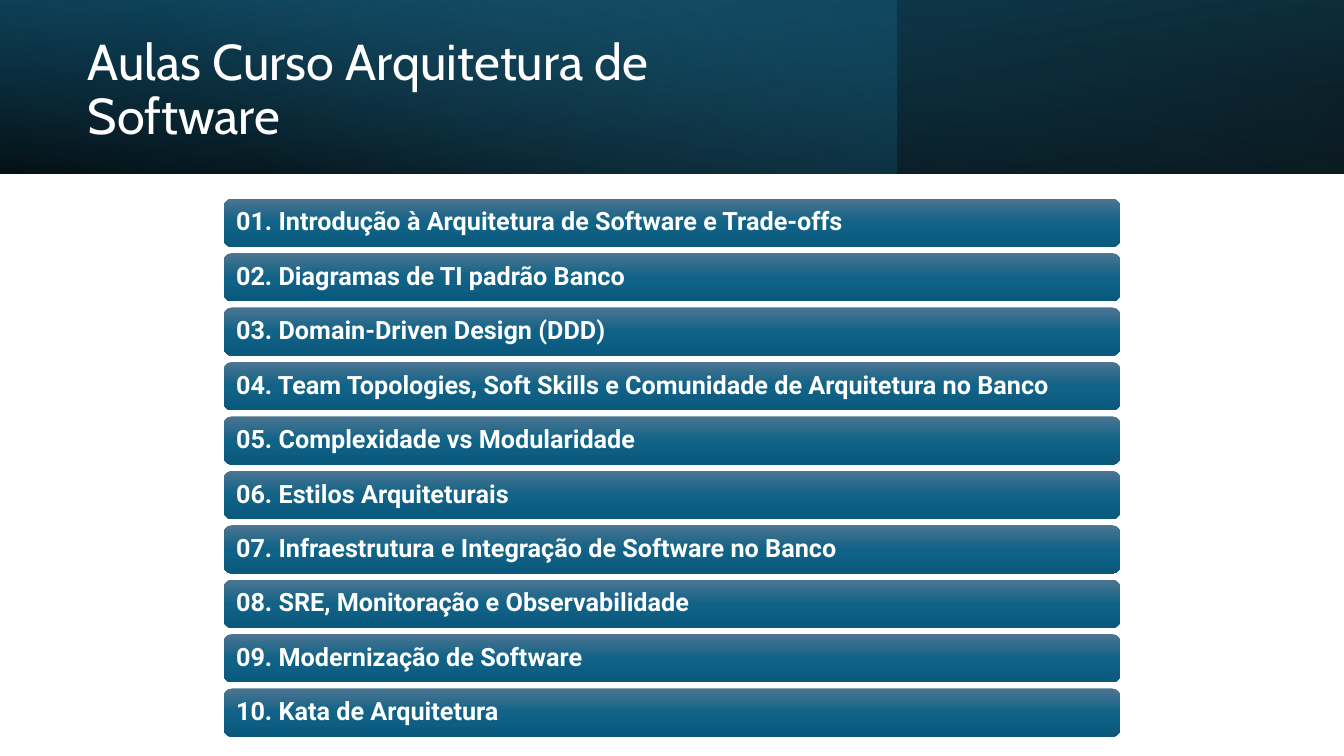
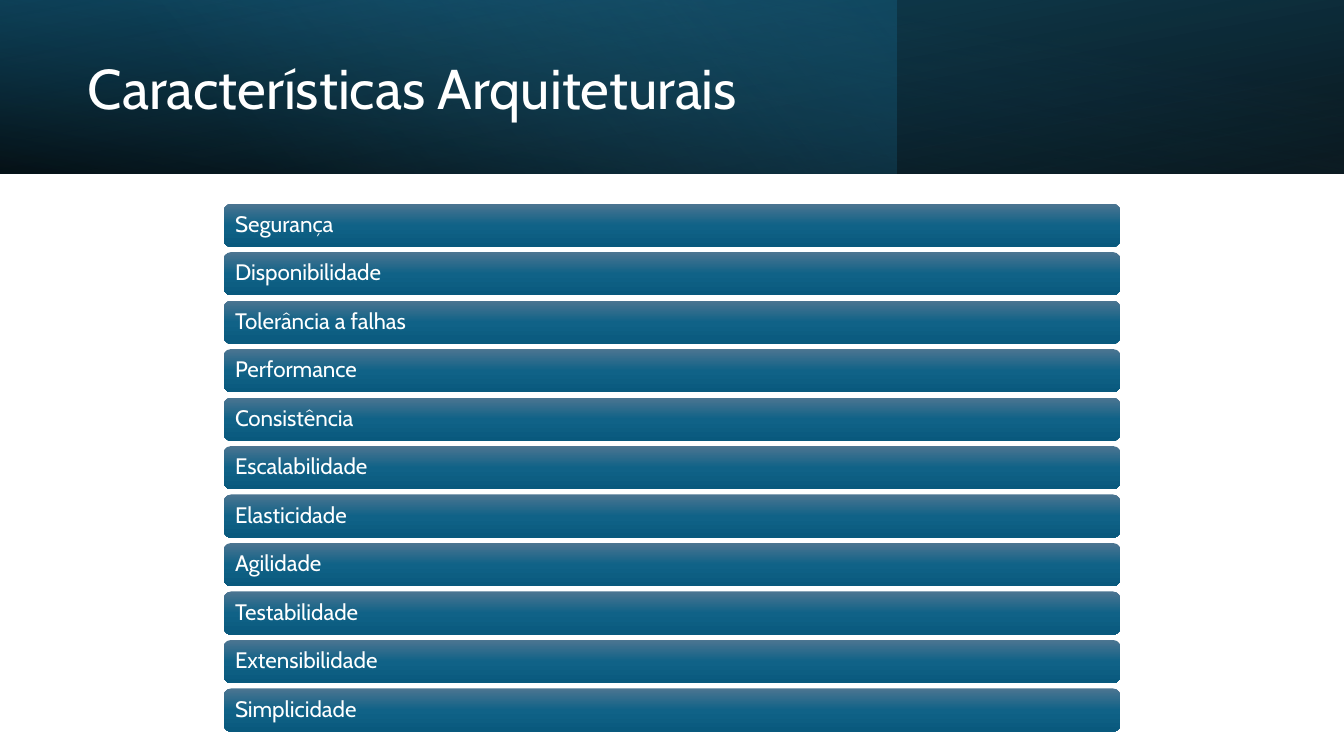
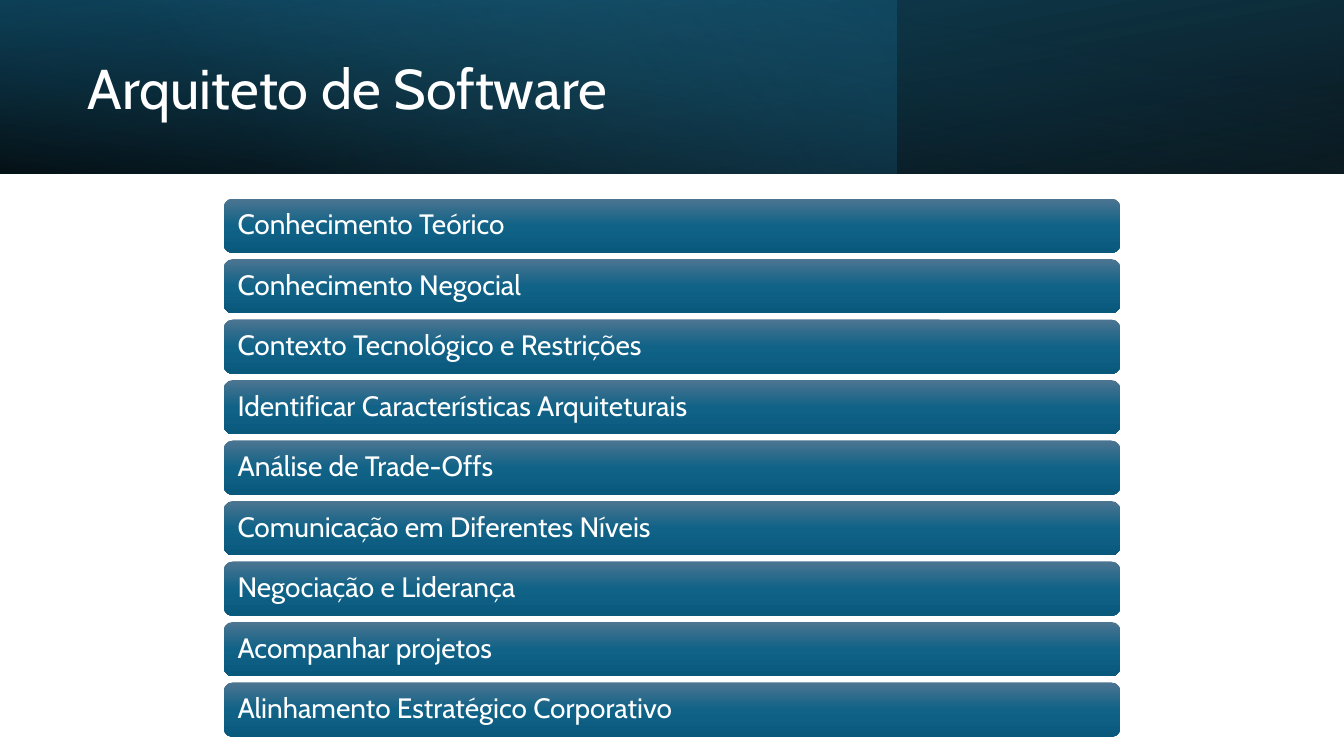
from dataclasses import dataclass

from pptx import Presentation
from pptx.dml.color import RGBColor as Rgb
from pptx.enum.shapes import MSO_SHAPE as Kind
from pptx.enum.text import MSO_ANCHOR as Anchor, MSO_AUTO_SIZE as Fit, PP_ALIGN as Align
from pptx.oxml import parse_xml
from pptx.oxml.ns import nsdecls, qn
from pptx.shapes.autoshape import Shape
from pptx.slide import Slide
from pptx.text.text import TextFrame
from pptx.util import Inches, Pt

HEX = {
    "white": "FFFFFF",
    "black": "000000",
    "navy": "104862",
    "teal": "156082",
    "sky": "46B1E1",
    "top": "4C7591",
    "mid": "106287",
    "low": "09597D",
}
WIDTH = 13.33
BAR_LEFT = 2.22
BAR_WIDTH = 8.89


@dataclass(frozen=True)
class Stop:
    place: int
    color: str
    alpha: int = 100


@dataclass(frozen=True)
class Band:
    width: float
    angle: int
    stops: tuple[Stop, ...]
    flip: bool = False
    turn: int = 0


@dataclass(frozen=True)
class Style:
    size: int
    font: str = "Cabin"
    bold: bool = False


@dataclass(frozen=True)
class Page:
    title: str
    head: Style
    text: Style
    first: float
    last: float
    height: float
    inset: float
    items: tuple[str, ...]


BANDS = (
    Band(WIDTH, 100, (Stop(0, "black", 96), Stop(100, "navy")), True, 180),
    Band(8.89, 140, (Stop(0, "teal", 41), Stop(74, "sky", 0))),
    Band(WIDTH, 260, (Stop(0, "black", 63), Stop(78, "teal", 15)), True),
)
BAR_STOPS = (Stop(0, "top"), Stop(50, "mid"), Stop(100, "low"))

PAGES = (
    Page(
        "Aulas Curso Arquitetura de Software",
        Style(36), Style(18, "Roboto", True), 1.97, 6.83, 0.48, 0.1,
        (
            "01. Introdução à Arquitetura de Software e Trade-offs",
            "02. Diagramas de TI padrão Banco",
            "03. Domain-Driven Design (DDD)",
            "04. Team Topologies, Soft Skills e Comunidade de Arquitetura no Banco",
            "05. Complexidade vs Modularidade",
            "06. Estilos Arquiteturais",
            "07. Infraestrutura e Integração de Software no Banco",
            "08. SRE, Monitoração e Observabilidade",
            "09. Modernização de Software",
            "10. Kata de Arquitetura",
        ),
    ),
    Page(
        "Características Arquiteturais",
        Style(40), Style(16), 2.02, 6.83, 0.43, 0.09,
        (
            "Segurança",
            "Disponibilidade",
            "Tolerância a falhas",
            "Performance",
            "Consistência",
            "Escalabilidade",
            "Elasticidade",
            "Agilidade",
            "Testabilidade",
            "Extensibilidade",
            "Simplicidade",
        ),
    ),
    Page(
        "Arquiteto de Software",
        Style(40), Style(20), 1.97, 6.77, 0.54, 0.11,
        (
            "Conhecimento Teórico",
            "Conhecimento Negocial",
            "Contexto Tecnológico e Restrições",
            "Identificar Características Arquiteturais",
            "Análise de Trade-Offs",
            "Comunicação em Diferentes Níveis",
            "Negociação e Liderança",
            "Acompanhar projetos",
            "Alinhamento Estratégico Corporativo",
        ),
    ),
)


def shade(shape: Shape, stops: tuple[Stop, ...], angle: int) -> None:
    marks = "".join(
        f'<a:gs pos="{stop.place * 1000}"><a:srgbClr val="{HEX[stop.color]}">'
        f'<a:alpha val="{stop.alpha * 1000}"/></a:srgbClr></a:gs>'
        for stop in stops
    )
    grad = parse_xml(
        f'<a:gradFill {nsdecls("a")} rotWithShape="1"><a:gsLst>{marks}</a:gsLst>'
        f'<a:lin ang="{angle * 60000}" scaled="0"/></a:gradFill>'
    )
    shape.fill.background()
    props = shape.element.spPr
    props.replace(props.find(qn("a:noFill")), grad)
    shape.line.fill.background()
    shape.shadow.inherit = False


def write(frame: TextFrame, text: str, style: Style) -> None:
    frame.text = text
    frame.word_wrap = True
    frame.auto_size = Fit.NONE
    frame.vertical_anchor = Anchor.MIDDLE
    para = frame.paragraphs[0]
    para.alignment = Align.LEFT
    para.line_spacing = 0.9
    font = para.font
    font.name = style.font
    font.size = Pt(style.size)
    font.bold = style.bold
    font.color.rgb = Rgb.from_string(HEX["white"])


def add_band(slide: Slide, band: Band) -> None:
    shape = slide.shapes.add_shape(
        Kind.RECTANGLE, 0, 0, Inches(band.width), Inches(1.72)
    )
    shade(shape, band.stops, band.angle)
    shape.rotation = band.turn
    if band.flip:
        shape.element.spPr.xfrm.set("flipH", "1")


def add_title(slide: Slide, text: str, style: Style) -> None:
    title = slide.shapes.title
    title.left, title.top = Inches(0.77), Inches(0.27)
    title.width, title.height = Inches(7.72), Inches(1.27)
    write(title.text_frame, text, style)
    slide.shapes.element.append(title.element)


def add_bars(slide: Slide, page: Page) -> None:
    step = (page.last - page.first) / (len(page.items) - 1)
    for row, item in enumerate(page.items):
        bar = slide.shapes.add_shape(
            Kind.ROUNDED_RECTANGLE,
            Inches(BAR_LEFT), Inches(page.first + row * step),
            Inches(BAR_WIDTH), Inches(page.height),
        )
        shade(bar, BAR_STOPS, 90)
        frame = bar.text_frame
        frame.margin_left = frame.margin_right = Inches(page.inset)
        frame.margin_top = frame.margin_bottom = Inches(0.05)
        write(frame, item, page.text)


def main() -> None:
    deck = Presentation()
    deck.slide_width, deck.slide_height = Inches(WIDTH), Inches(7.5)
    for page in PAGES:
        slide = deck.slides.add_slide(deck.slide_layouts[5])
        for band in BANDS:
            add_band(slide, band)
        add_title(slide, page.title, page.head)
        add_bars(slide, page)
    deck.save("out.pptx")


if __name__ == "__main__":
    main()
